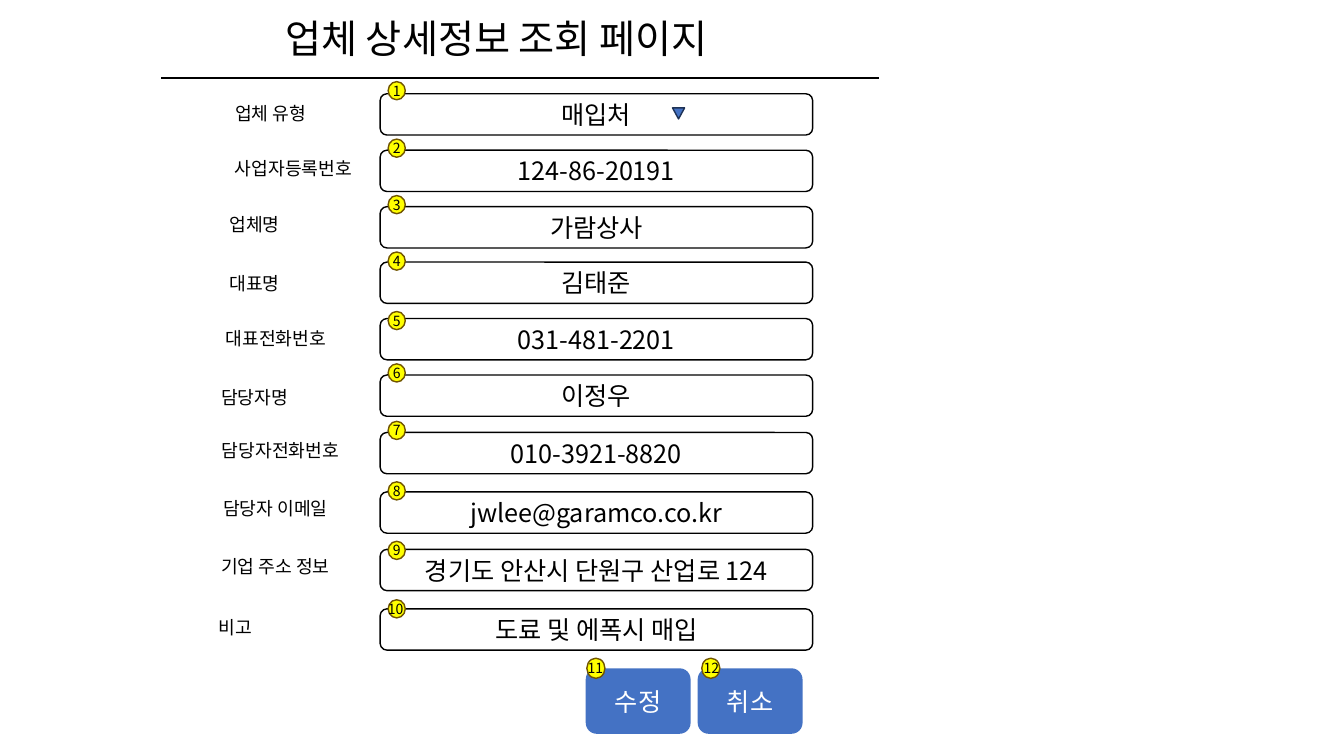
from pptx import Presentation
from pptx import util as u
from pptx.dml.color import RGBColor
from pptx.enum import shapes, text
from pptx.oxml.ns import qn
from lxml import etree

FONT = "Noto Sans CJK KR"
COLORS = {
    "ink": "000000",
    "paper": "FFFFFF",
    "button": "4472C4",
    "arrow_edge": "1E3256",
    "badge": "FFFF00",
    "badge_edge": "705400",
}
SHAPE = shapes.MSO_SHAPE

# field top, value, label, label left, label top, label width, badge top
ROWS = [
    (0.93, "매입처", "업체 유형", 2.02, 0.94, 1.33, 0.81),
    (1.49, "124-86-20191", "사업자등록번호", 2.17, 1.48, 1.48, 1.38),
    (2.05, "가람상사", "업체명", 1.86, 2.04, 1.33, 1.94),
    (2.60, "김태준", "대표명", 1.86, 2.62, 1.33, 2.50),
    (3.16, "031-481-2201", "대표전화번호", 2.07, 3.17, 1.33, 3.09),
    (3.72, "이정우", "담당자명", 1.86, 3.76, 1.33, 3.61),
    (4.29, "010-3921-8820", "담당자전화번호", 2.02, 4.28, 1.52, 4.18),
    (4.88, "jwlee@garamco.co.kr", "담당자 이메일", 2.02, 4.86, 1.42, 4.78),
    (5.45, "경기도 안산시 단원구 산업로 124", "기업 주소 정보", 2.02, 5.43, 1.42, 5.37),
    (6.04, "도료 및 에폭시 매입", "비고", 1.67, 6.04, 1.33, 5.95),
]
# caption, button left, badge left, number left
BUTTONS = [("수정", 5.81, 5.82, 5.73), ("취소", 6.92, 6.96, 6.88)]


def color(name):
    return RGBColor.from_string(COLORS[name])


def write(box, content, size=18, ink="ink", align=text.PP_ALIGN.CENTER,
          anchor=text.MSO_ANCHOR.MIDDLE, wrap=True, inset=None):
    frame = box.text_frame
    frame.word_wrap = wrap
    frame.vertical_anchor = anchor
    if inset is not None:
        frame.margin_left = frame.margin_right = u.Inches(inset)
        frame.margin_top = frame.margin_bottom = u.Inches(inset)
    para = frame.paragraphs[0]
    para.alignment = align
    span = para.add_run()
    span.text = content
    span.font.size = u.Pt(size)
    span.font.name = FONT
    span.font.color.rgb = color(ink)
    east_asian = etree.SubElement(span.font._element, qn("a:ea"))
    east_asian.set("typeface", FONT)


class FormPage:
    """Draws the parts of the form on one slide."""

    def __init__(self, page):
        self.page = page

    def shape(self, kind, left, top, width, height, fill, line=None):
        box = self.page.shapes.add_shape(
            kind, *map(u.Inches, (left, top, width, height)))
        box.shadow.inherit = False
        box.fill.solid()
        box.fill.fore_color.rgb = color(fill)
        if line:
            box.line.color.rgb = color(line)
            box.line.width = u.Pt(1)
        else:
            box.line.fill.background()
        return box

    def plain_text(self, content, left, top, width, height, size):
        box = self.page.shapes.add_textbox(
            *map(u.Inches, (left, top, width, height)))
        write(box, content, size, align=text.PP_ALIGN.LEFT,
              anchor=text.MSO_ANCHOR.TOP)

    def rule(self, left, right, top):
        line = self.page.shapes.add_connector(
            shapes.MSO_CONNECTOR.STRAIGHT,
            *map(u.Inches, (left, top, right, top)))
        line.line.color.rgb = color("ink")
        line.line.width = u.Pt(1.5)
        etree.SubElement(line._element.spPr, qn("a:effectLst"))

    def field(self, value, top):
        box = self.shape(SHAPE.ROUNDED_RECTANGLE, 3.77, top, 4.29, 0.41,
                         "paper", "ink")
        write(box, value)

    def label(self, content, left, top, width):
        box = self.shape(SHAPE.RECTANGLE, left, top, width, 0.37,
                         "paper", "paper")
        write(box, content, 13)

    def badge(self, left, top, width=0.17, height=0.18):
        return self.shape(SHAPE.FLOWCHART_CONNECTOR, left, top, width, height,
                          "badge", "badge_edge")

    def button(self, caption, left):
        box = self.shape(SHAPE.ROUNDED_RECTANGLE, left, 6.63, 1.04, 0.65,
                         "button")
        write(box, caption, ink="paper")


def main():
    deck = Presentation()
    deck.slide_width = u.Inches(13.33)
    deck.slide_height = u.Inches(7.5)
    form = FormPage(deck.slides.add_slide(deck.slide_layouts[6]))

    form.plain_text("업체 상세정보 조회 페이지", 2.73, 0.09, 5.38, 0.57, 28)
    form.rule(1.6, 8.72, 0.77)

    for number, row in enumerate(ROWS, 1):
        field_top, value, label, left, label_top, width, badge_top = row
        form.field(value, field_top)
        form.label(label, left, label_top, width)
        badge = form.badge(3.85, badge_top)
        if number < 10:
            write(badge, str(number), 10, wrap=False, inset=0)
        else:
            form.plain_text(str(number), 3.75, 5.91, 0.43, 0.27, 10)
    form.shape(SHAPE.FLOWCHART_MERGE, 6.67, 1.07, 0.12, 0.11,
               "button", "arrow_edge")

    for number, (caption, left, badge_left, number_left) in enumerate(
            BUTTONS, len(ROWS) + 1):
        form.button(caption, left)
        form.badge(badge_left, 6.53, 0.18, 0.2)
        form.plain_text(str(number), number_left, 6.49, 0.36, 0.27, 10)

    deck.save("out.pptx")


if __name__ == "__main__":
    main()
